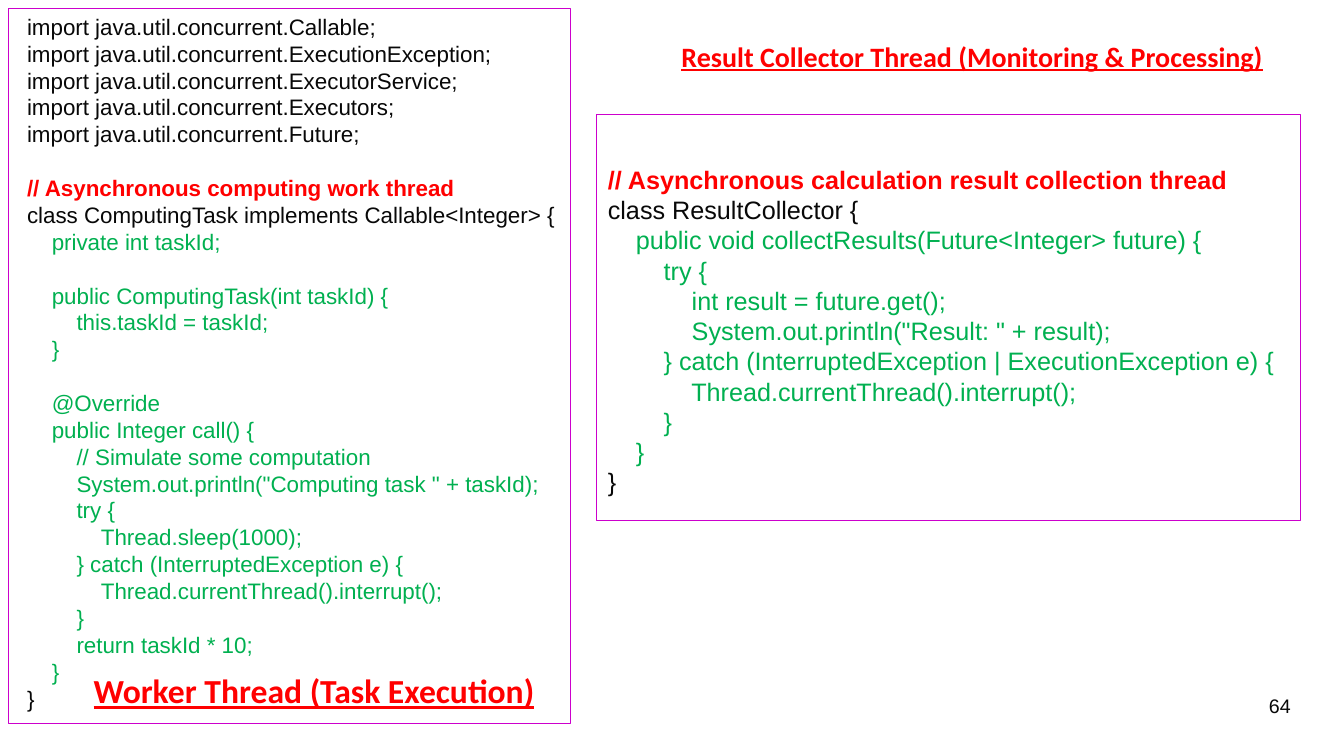
from dataclasses import dataclass

from pptx import Presentation
from pptx import util as u
from pptx.dml.color import RGBColor
from pptx.enum import shapes, text

PX = 9144  # 100 px to the inch


@dataclass(frozen=True)
class Theme:
    ink: str = "080808"
    red: str = "FF0000"
    green: str = "00B050"
    frame: str = "CC00CC"
    code: str = "Arial"
    head: str = "Calibri"
    leading: float = 1.2
    edge: float = 0.75
    page_size: int = 14
    task_size: int = 16
    result_size: int = 18
    side_size: int = 20
    main_size: int = 24


THEME = Theme()

TASK = """\
import java.util.concurrent.Callable;
import java.util.concurrent.ExecutionException;
import java.util.concurrent.ExecutorService;
import java.util.concurrent.Executors;
import java.util.concurrent.Future;

// Asynchronous computing work thread
class ComputingTask implements Callable<Integer> {
    private int taskId;

    public ComputingTask(int taskId) {
        this.taskId = taskId;
    }

    @Override
    public Integer call() {
        // Simulate some computation
        System.out.println("Computing task " + taskId);
        try {
            Thread.sleep(1000);
        } catch (InterruptedException e) {
            Thread.currentThread().interrupt();
        }
        return taskId * 10;
    }
}"""

RESULT = """\
// Asynchronous calculation result collection thread
class ResultCollector {
    public void collectResults(Future<Integer> future) {
        try {
            int result = future.get();
            System.out.println("Result: " + result);
        } catch (InterruptedException | ExecutionException e) {
            Thread.currentThread().interrupt();
        }
    }
}"""


def scale(box):
    return [n * PX for n in box]


def style(para, face, size, color, bold=False, line=False):
    for run in para.runs:
        font = run.font
        font.name, font.size = face, u.Pt(size)
        font.bold, font.underline = bold, line
        font.color.rgb = RGBColor.from_string(color)


def add_text(slide, box, words, wrap=True):
    frame = slide.shapes.add_textbox(*scale(box)).text_frame
    frame.word_wrap = wrap
    frame.text = words
    return frame


def add_code(slide, box, code, size):
    # A blank source line becomes space before the next line
    rows, gaps = [], []
    gap = 0
    pitch = size * THEME.leading
    for row in code.splitlines():
        if row:
            rows.append(row)
            gaps.append(gap)
            gap = 0
        else:
            gap = pitch
    frame = add_text(slide, box, "\n".join(rows))
    for para, row, gap in zip(frame.paragraphs, rows, gaps):
        para.line_spacing = u.Pt(pitch)
        if gap:
            para.space_before = u.Pt(gap)
        note = row.startswith("//")
        inner = row.startswith(" ")
        color = THEME.red if note else THEME.green if inner else THEME.ink
        style(para, THEME.code, size, color, bold=note)


def add_frame(slide, box):
    rect = slide.shapes.add_shape(shapes.MSO_SHAPE.RECTANGLE, *scale(box))
    rect.shadow.inherit = False
    rect.fill.background()
    rect.line.color.rgb = RGBColor.from_string(THEME.frame)
    rect.line.width = u.Pt(THEME.edge)


def add_title(slide, box, words, size, wrap=True):
    frame = add_text(slide, box, words, wrap)
    style(frame.paragraphs[0], THEME.head, size, THEME.red, True, True)


def add_page(slide, box, number):
    para = add_text(slide, box, number).paragraphs[0]
    para.alignment = text.PP_ALIGN.RIGHT
    para.line_spacing = u.Pt(THEME.page_size * THEME.leading)
    style(para, THEME.code, THEME.page_size, THEME.ink)


def main():
    deck = Presentation()
    deck.slide_width, deck.slide_height = scale((1333, 750))
    slide = deck.slides.add_slide(deck.slide_layouts[6])

    # Page number
    add_page(slide, (956, 683, 334, 52), "64")

    # Code listings
    add_code(slide, (17, 8, 567, 710), TASK, THEME.task_size)
    add_code(slide, (593, 158, 725, 343), RESULT, THEME.result_size)

    # Frames around the listings
    add_frame(slide, (8, 8, 558, 710))
    add_frame(slide, (592, 114, 698, 402))

    # Titles
    add_title(slide, (83, 660, 472, 50),
              "Worker Thread (Task Execution)", THEME.main_size)
    add_title(slide, (666, 34, 602, 44),
              "Result Collector Thread (Monitoring & Processing)",
              THEME.side_size, wrap=False)

    deck.save("out.pptx")


if __name__ == "__main__":
    main()
